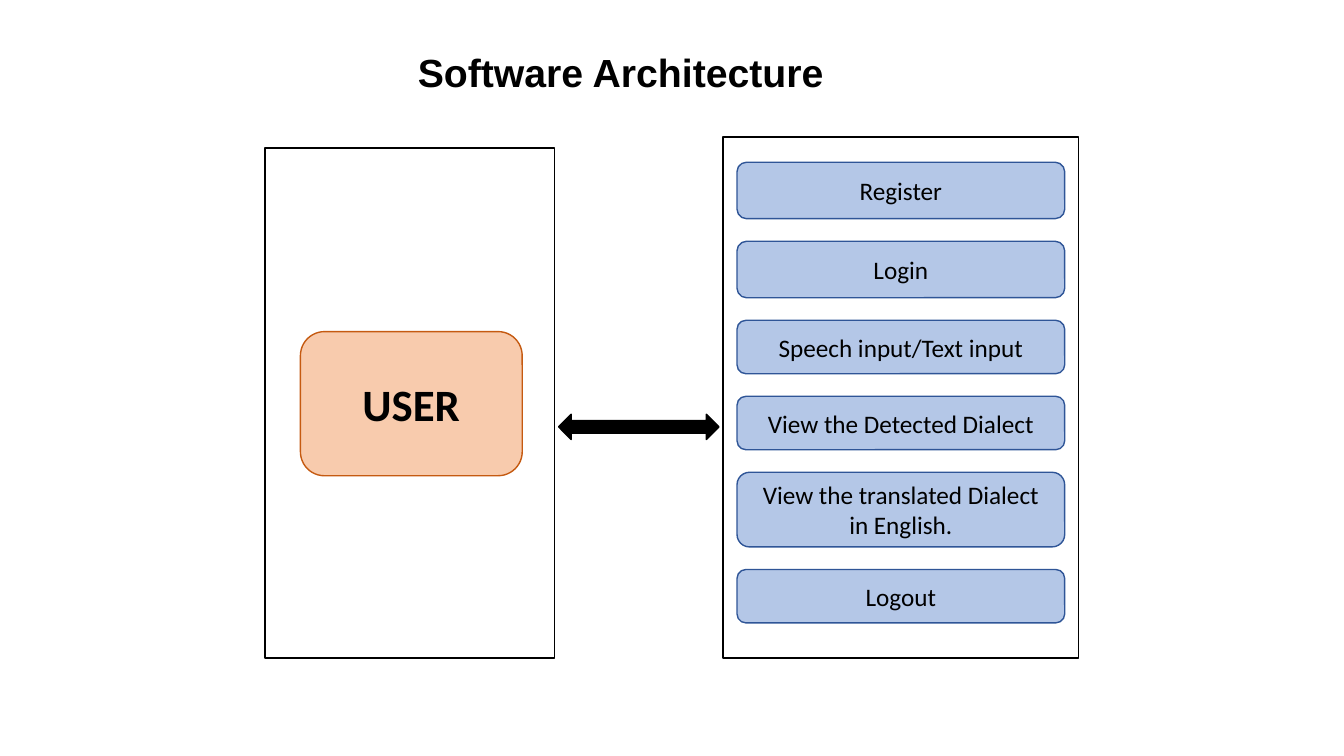
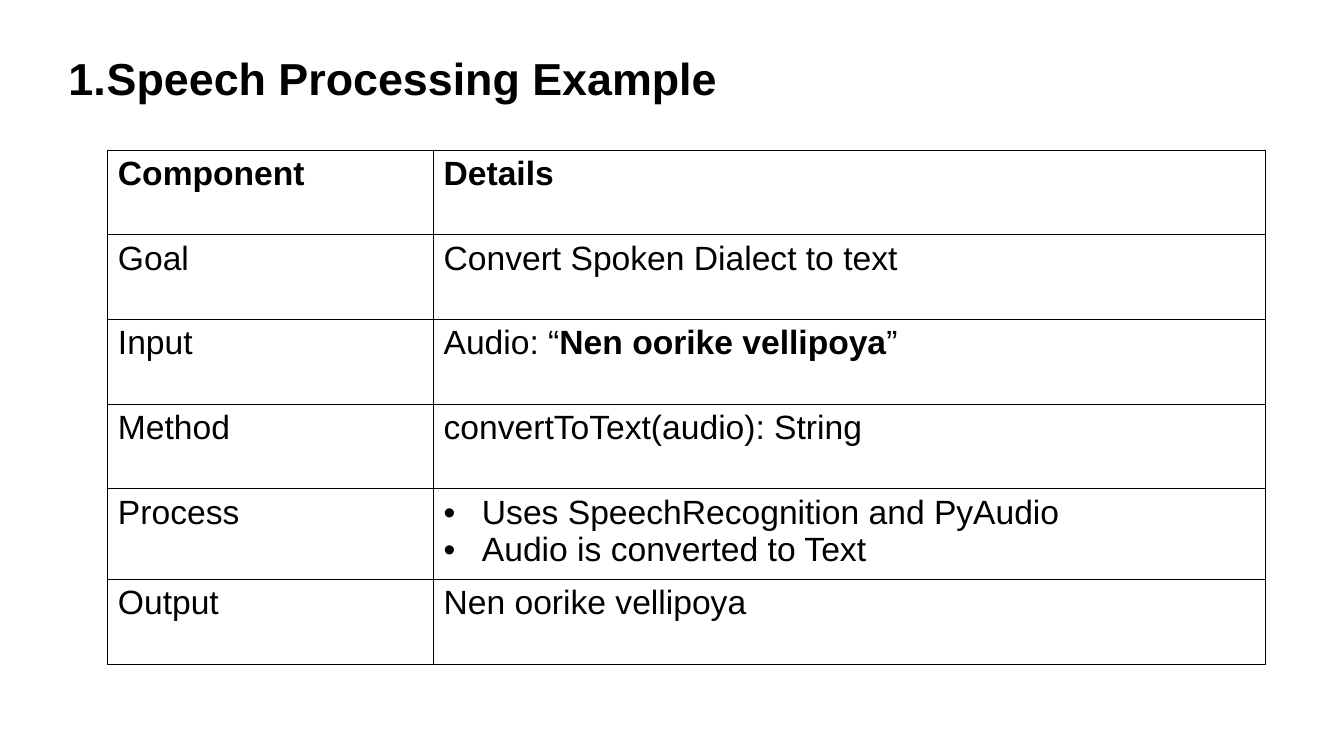
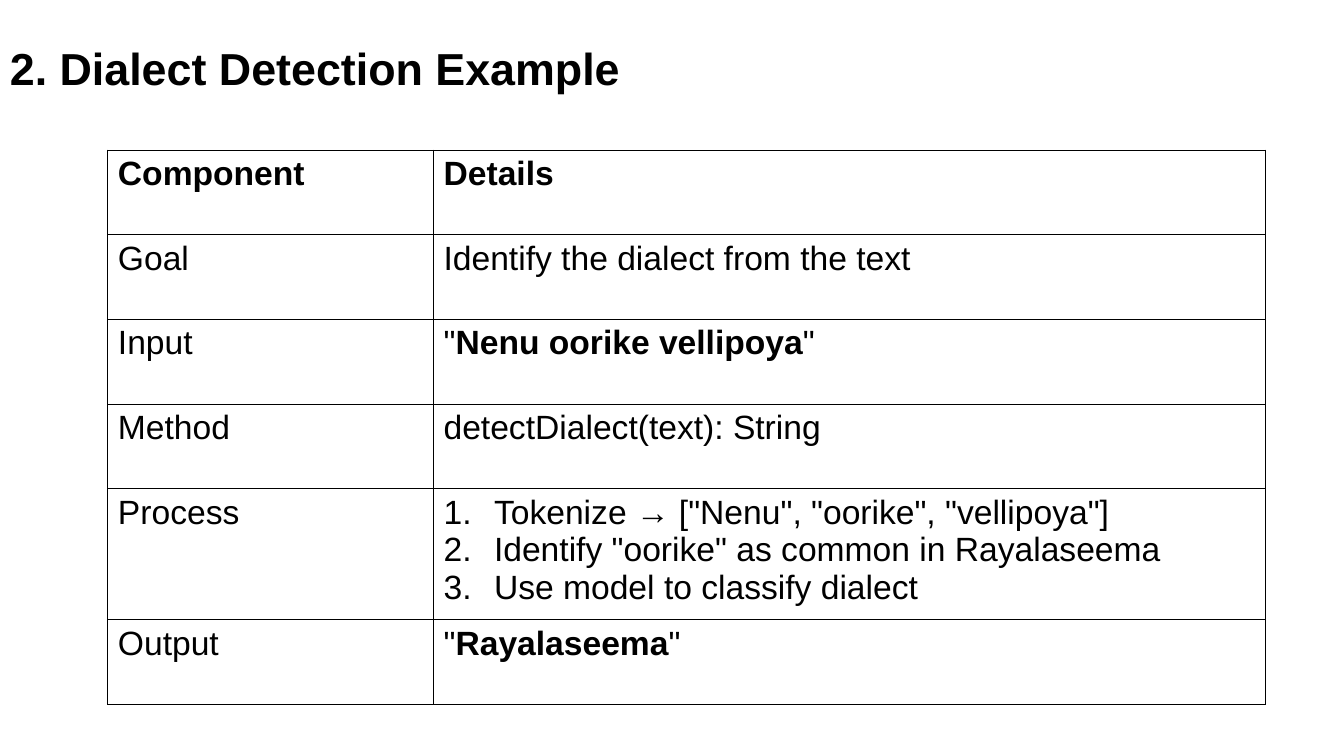
from dataclasses import dataclass

from lxml.etree import SubElement
from pptx import Presentation
from pptx.dml.color import RGBColor as Color
from pptx.enum.shapes import MSO_SHAPE as Shape
from pptx.enum.text import MSO_ANCHOR as Anchor, MSO_AUTO_SIZE as AutoSize, PP_ALIGN as Align
from pptx.oxml.ns import qn
from pptx.util import Inches, Pt


@dataclass(frozen=True)
class Theme:
    black: str = "000000"
    white: str = "FFFFFF"
    user_fill: str = "F8CBAD"
    user_line: str = "C55A11"
    step_fill: str = "B4C7E7"
    step_line: str = "2F5597"
    heading_font: str = "Arial"
    diagram_font: str = "Calibri"
    title_size: int = 32
    diagram_title_size: int = 28
    user_size: int = 32
    step_size: int = 18
    table_size: int = 24
    line_width: int = 1


THEME = Theme()
BOLD_MARK = "**"
BULLET = ("buChar", {"char": "•"}, 0.38)
NUMBER = ("buAutoNum", {"type": "arabicPeriod"}, 0.5)
TITLE_NUMBER = NUMBER[:2] + (0.38,)

USER_STEPS = [
    ("Register", 0.56),
    ("Login", 0.56),
    ("Speech input/Text input", 0.53),
    ("View the Detected Dialect", 0.53),
    ("View the translated Dialect in English.", 0.74),
    ("Logout", 0.53),
]

SPEECH_ROWS = [
    ("Goal", ["Convert Spoken Dialect to text"]),
    ("Input", ["Audio: “**Nen oorike vellipoya**”"]),
    ("Method", ["convertToText(audio): String"]),
    ("Process", ["Uses SpeechRecognition and PyAudio", "Audio is converted to Text"]),
    ("Output", ["Nen oorike vellipoya"]),
]

DIALECT_ROWS = [
    ("Goal", ["Identify the dialect from the text"]),
    ("Input", ['"**Nenu oorike vellipoya**"']),
    ("Method", ["detectDialect(text): String"]),
    ("Process", [
        'Tokenize → ["Nenu", "oorike", "vellipoya"]',
        'Identify "oorike" as common in Rayalaseema',
        "Use model to classify dialect",
    ]),
    ("Output", ['"**Rayalaseema**"']),
]


def add_page(deck):
    return deck.slides.add_slide(deck.slide_layouts[6])


def set_values(target, values):
    for name, value in values.items():
        setattr(target, name, value)


def write(para, text, font, size, bold=False):
    for index, part in enumerate(text.split(BOLD_MARK)):
        if part:
            span = para.add_run()
            span.text = part
            set_values(span.font, {"name": font, "size": Pt(size), "bold": bold or index % 2 == 1})
            span.font.color.rgb = Color.from_string(THEME.black)


def mark_list(para, marker):
    tag, values, indent = marker
    props = para._p.get_or_add_pPr()
    props.set("marL", str(Inches(indent)))
    props.set("indent", str(-Inches(indent)))
    SubElement(props, qn("a:buFont"), typeface=THEME.heading_font)
    SubElement(props, qn(f"a:{tag}"), values)


def add_title(page, text, place, size=THEME.title_size, align=Align.LEFT, wrap=False, marker=None):
    box = page.shapes.add_textbox(*map(Inches, place))
    set_values(box.text_frame, {"word_wrap": wrap, "auto_size": AutoSize.SHAPE_TO_FIT_TEXT})
    para = box.text_frame.paragraphs[0]
    para.alignment = align
    if marker:
        mark_list(para, marker)
    write(para, text, THEME.heading_font, size, bold=True)


def add_block(page, kind, place, fill, line, text="", size=THEME.step_size, bold=False):
    block = page.shapes.add_shape(kind, *map(Inches, place))
    block.shadow.inherit = False
    block.fill.solid()
    block.fill.fore_color.rgb = Color.from_string(fill)
    block.line.color.rgb = Color.from_string(line)
    block.line.width = Pt(THEME.line_width)
    set_values(block.text_frame, {"word_wrap": True, "vertical_anchor": Anchor.MIDDLE})
    para = block.text_frame.paragraphs[0]
    para.alignment = Align.CENTER
    write(para, text, THEME.diagram_font, size, bold)


def style_cell(cell):
    props = cell._tc.get_or_add_tcPr()
    for side in ("lnL", "lnR", "lnT", "lnB"):
        border = SubElement(props, qn(f"a:{side}"), w=str(Pt(THEME.line_width)))
        SubElement(SubElement(border, qn("a:solidFill")), qn("a:srgbClr"), val=THEME.black)
    cell.fill.solid()
    cell.fill.fore_color.rgb = Color.from_string(THEME.white)


def fill_cell(cell, lines, bold=False, marker=None):
    style_cell(cell)
    for index, text in enumerate(lines):
        para = cell.text_frame.add_paragraph() if index else cell.text_frame.paragraphs[0]
        if marker:
            mark_list(para, marker)
        write(para, text, THEME.heading_font, THEME.table_size, bold)


def add_component_table(page, rows, marker, row_height=0.84, widths=(3.23, 8.25)):
    rows = [("Component", ["Details"])] + rows
    place = (1.07, 1.49, sum(widths), row_height * len(rows))
    table = page.shapes.add_table(len(rows), len(widths), *map(Inches, place)).table
    set_values(table, {"first_row": False, "horz_banding": False})
    for column, width in zip(table.columns, widths):
        column.width = Inches(width)
    for index, (component, details) in enumerate(rows):
        header = index == 0
        fill_cell(table.cell(index, 0), [component], header)
        fill_cell(table.cell(index, 1), details, header, marker if len(details) > 1 else None)


def add_steps(page, left=7.31, top=1.61, width=3.25, bottom=6.18):
    gap = (bottom - top - sum(height for _, height in USER_STEPS)) / (len(USER_STEPS) - 1)
    for label, height in USER_STEPS:
        add_block(page, Shape.ROUNDED_RECTANGLE, (left, top, width, height),
                  THEME.step_fill, THEME.step_line, label)
        top += height + gap


def build_architecture(deck):
    page = add_page(deck)
    add_title(page, "Software Architecture", (3.22, 0.43, 5.87, 0.57),
              THEME.diagram_title_size, Align.CENTER, wrap=True)
    add_block(page, Shape.RECTANGLE, (2.63, 1.47, 2.87, 5.06), THEME.white, THEME.black)
    add_block(page, Shape.LEFT_RIGHT_ARROW, (5.54, 4.11, 1.59, 0.25), THEME.black, THEME.black)
    add_block(page, Shape.RECTANGLE, (7.17, 1.36, 3.53, 5.17), THEME.white, THEME.black)
    add_block(page, Shape.ROUNDED_RECTANGLE, (2.98, 3.29, 2.2, 1.43),
              THEME.user_fill, THEME.user_line, "USER", THEME.user_size, bold=True)
    add_steps(page)


def build_speech_example(deck):
    page = add_page(deck)
    add_title(page, "Speech Processing Example", (0.58, 0.45, 6.68, 0.64), marker=TITLE_NUMBER)
    add_component_table(page, SPEECH_ROWS, BULLET)


def build_dialect_example(deck):
    page = add_page(deck)
    add_component_table(page, DIALECT_ROWS, NUMBER)
    add_title(page, "2. Dialect Detection Example", (0, 0.35, 6.3, 0.64))


def main():
    deck = Presentation()
    set_values(deck, {"slide_width": Inches(13.33), "slide_height": Inches(7.5)})
    build_architecture(deck)
    build_speech_example(deck)
    build_dialect_example(deck)
    deck.save("out.pptx")


if __name__ == "__main__":
    main()
